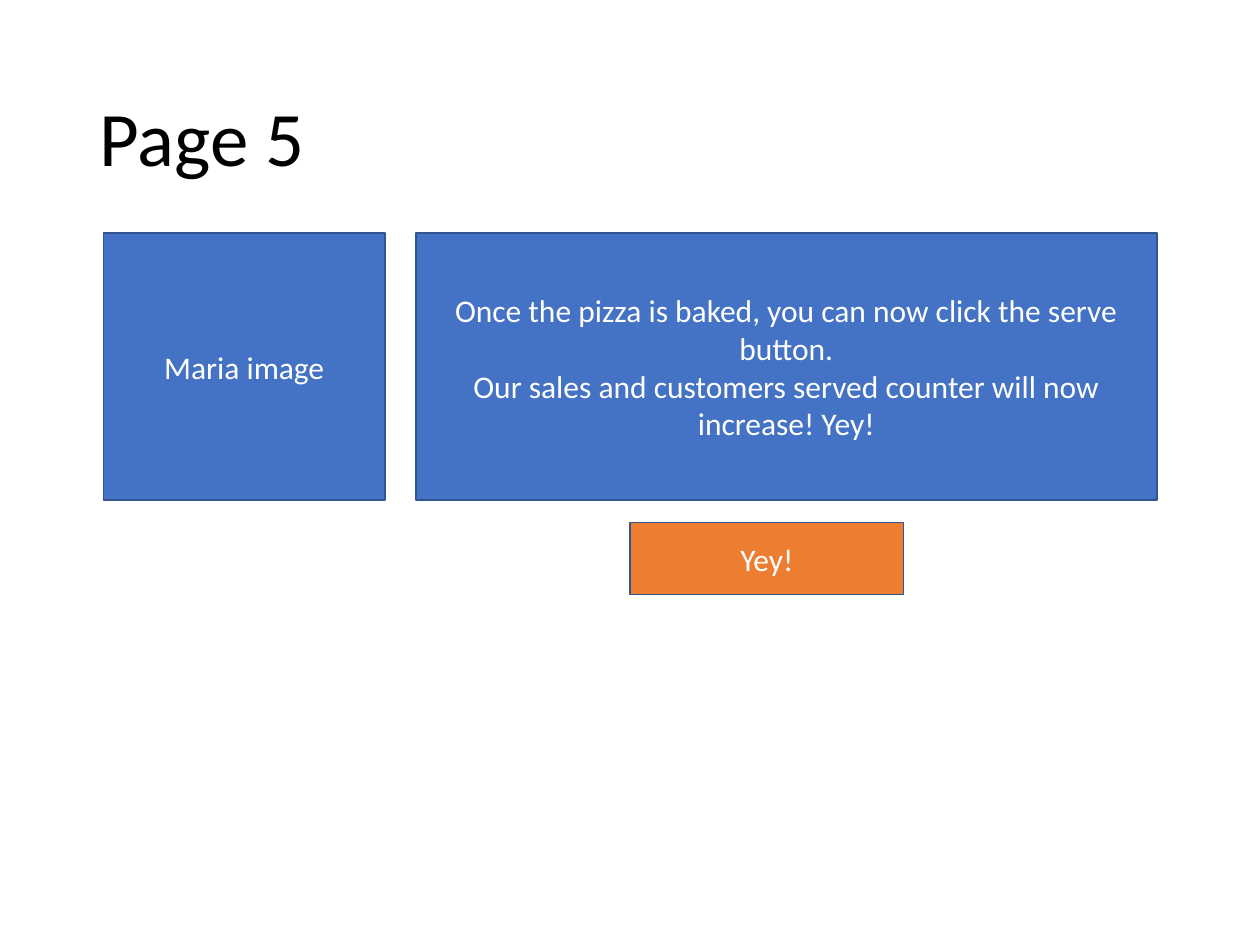
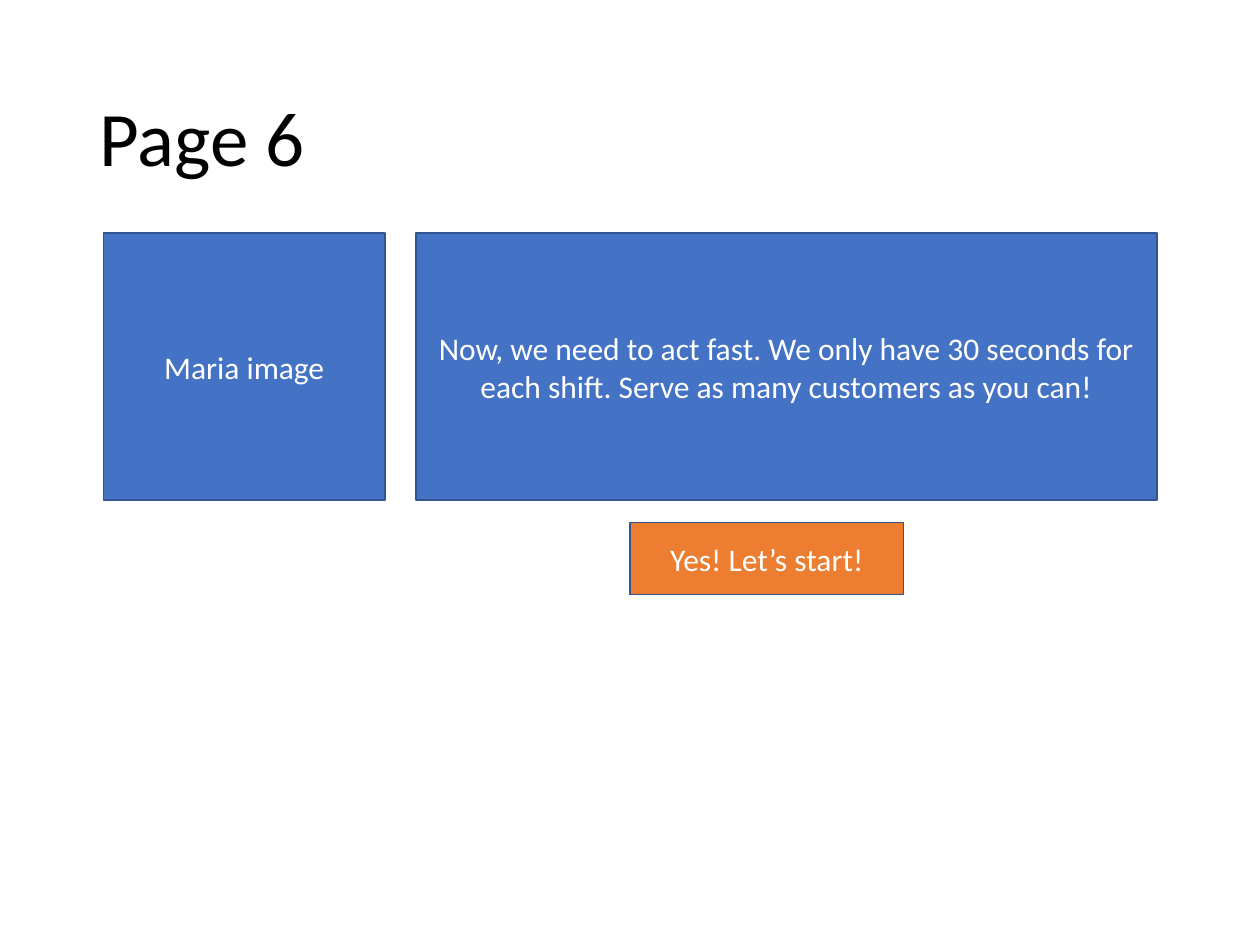
from dataclasses import dataclass

from pptx import Presentation
from pptx.dml.color import RGBColor
from pptx.enum import shapes, text
from pptx.util import Pt


@dataclass(frozen=True)
class Theme:
    font: str = "Calibri"
    title_size: int = 44
    body_size: int = 18
    ink: str = "000000"
    paper: str = "FFFFFF"
    panel: str = "4472C4"
    button: str = "ED7D31"
    outline: str = "325491"


THEME = Theme()
TITLE_BOX = (49.7, 28.8, 620.6, 104.4)
DIALOG_BOX = (59.2, 133.2, 601.8, 152.6)
BUTTON_BOX = (360, 298.6, 156.4, 41.2)
PORTRAIT_WIDTH = 160.8
PANEL_GAP = 17.6

PAGES = [
    ("Page 5",
     "Once the pizza is baked, you can now click the serve button.\n"
     "Our sales and customers served counter will now increase! Yey!",
     "Yey!"),
    ("Page 6",
     "Now, we need to act fast. We only have 30 seconds for each shift. "
     "Serve as many customers as you can!",
     "Yes! Let’s start!"),
]


def set_text(tf, words, size, color, align, spacing=1.0):
    tf.text = words
    tf.word_wrap = True
    tf.vertical_anchor = text.MSO_ANCHOR.MIDDLE
    for p in tf.paragraphs:
        p.alignment = align
        p.line_spacing = spacing
        for r in p.runs:
            r.font.name = THEME.font
            r.font.size = Pt(size)
            r.font.color.rgb = RGBColor.from_string(color)


def add_title(s, box, words):
    sp = s.shapes.title
    sp.left, sp.top, sp.width, sp.height = map(Pt, box)
    set_text(sp.text_frame, words, THEME.title_size, THEME.ink,
             text.PP_ALIGN.LEFT, 0.9)


def add_block(s, box, words, fill):
    sp = s.shapes.add_shape(shapes.MSO_SHAPE.RECTANGLE, *map(Pt, box))
    sp.shadow.inherit = False
    sp.fill.solid()
    sp.fill.fore_color.rgb = RGBColor.from_string(fill)
    sp.line.color.rgb = RGBColor.from_string(THEME.outline)
    sp.line.width = Pt(1)
    set_text(sp.text_frame, words, THEME.body_size, THEME.paper,
             text.PP_ALIGN.CENTER)


def add_dialog(s, box, speech):
    left, top, width, height = box
    offset = PORTRAIT_WIDTH + PANEL_GAP
    add_block(s, (left, top, PORTRAIT_WIDTH, height), "Maria image", THEME.panel)
    add_block(s, (left + offset, top, width - offset, height), speech, THEME.panel)


def add_page(prs, title, speech, reply):
    s = prs.slides.add_slide(prs.slide_layouts.get_by_name("Title Only"))
    s.background.fill.solid()
    s.background.fill.fore_color.rgb = RGBColor.from_string(THEME.paper)
    add_title(s, TITLE_BOX, title)
    add_dialog(s, DIALOG_BOX, speech)
    add_block(s, BUTTON_BOX, reply, THEME.button)


prs = Presentation()
prs.slide_width, prs.slide_height = Pt(720), Pt(540)
for page in PAGES:
    add_page(prs, *page)
prs.save("out.pptx")
